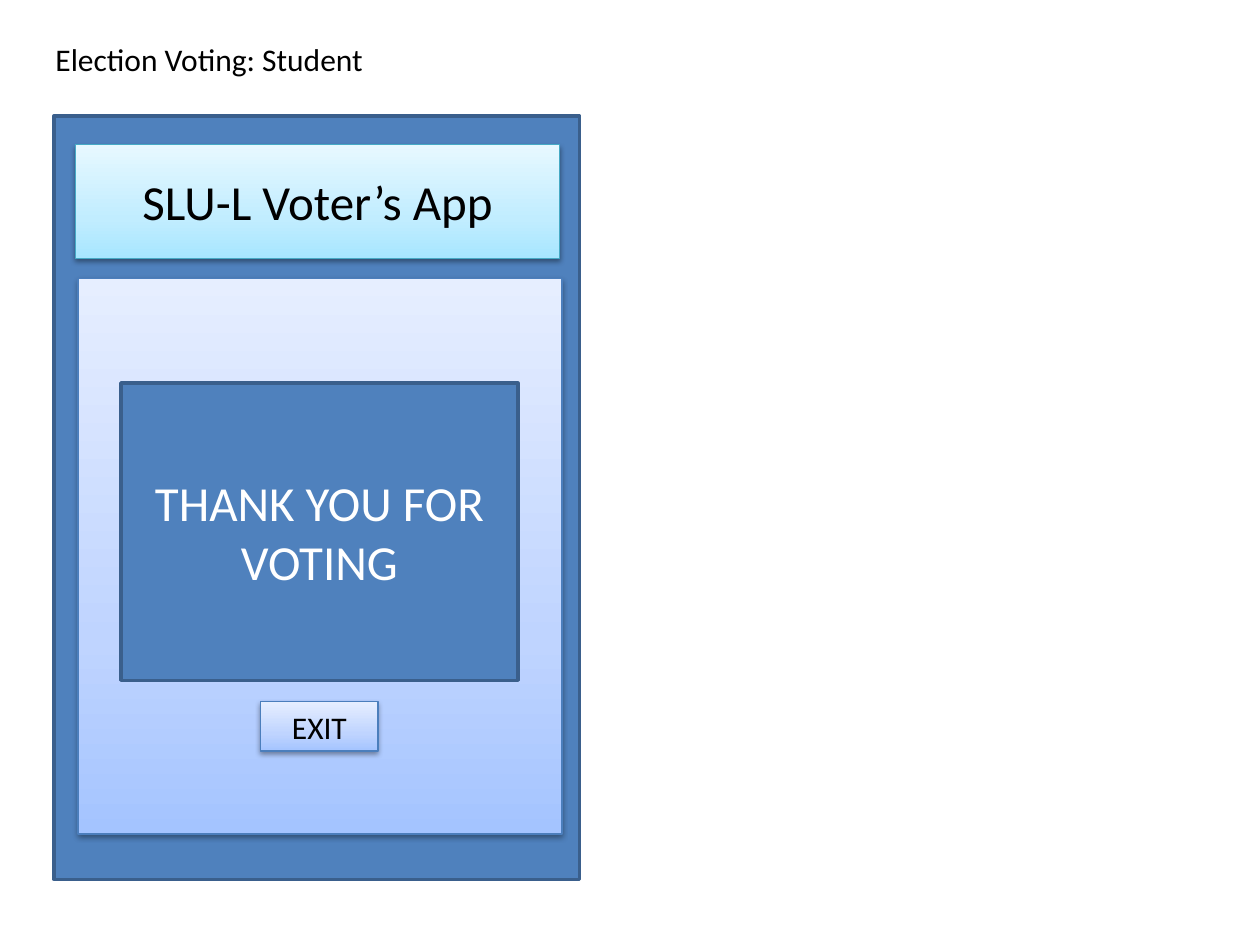
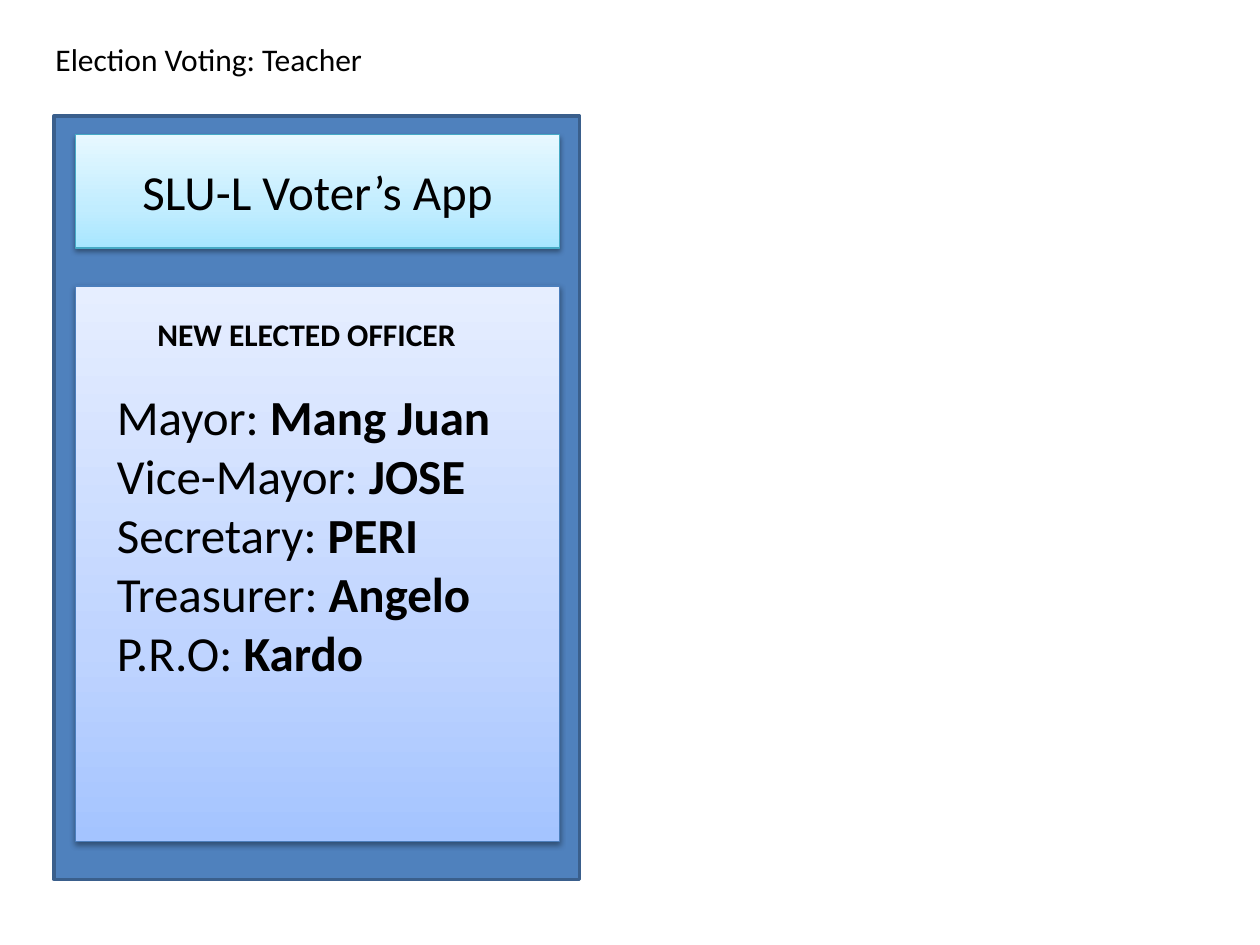
from pptx import Presentation
from pptx.dml.color import RGBColor
from pptx.enum.shapes import MSO_SHAPE
from pptx.enum.text import MSO_ANCHOR, MSO_AUTO_SIZE, PP_ALIGN
from pptx.oxml.ns import qn
from pptx.util import Inches, Pt
from lxml import etree

RECT = MSO_SHAPE.RECTANGLE
MIDDLE = MSO_ANCHOR.MIDDLE
TOP = MSO_ANCHOR.TOP
GROW = MSO_AUTO_SIZE.SHAPE_TO_FIT_TEXT
LEFT = PP_ALIGN.LEFT
CENTER = PP_ALIGN.CENTER

BLACK = RGBColor(0x00, 0x00, 0x00)
WHITE = RGBColor(0xFF, 0xFF, 0xFF)
BLUE = RGBColor(0x4F, 0x81, 0xBD)
NAVY = RGBColor(0x3A, 0x5F, 0x8C)
EDGE = RGBColor(0x4B, 0x7E, 0xBC)
TEAL = RGBColor(0x46, 0xAA, 0xC5)
SKY = [RGBColor(0xA7, 0xE6, 0xFF), RGBColor(0xC1, 0xED, 0xFF), RGBColor(0xE7, 0xF8, 0xFF)]
PALE = [RGBColor(0xA4, 0xC4, 0xFF), RGBColor(0xBF, 0xD4, 0xFF), RGBColor(0xE6, 0xEE, 0xFF)]
STOPS = [0, 35, 100]

WIDE, HIGH = Inches(10), Inches(7.5)
COL, ROW = WIDE / 100, HIGH / 75
PHONE = (4.3, 9.2, 41.7, 60.6)
HEAD = (2.8, 2.7, 92.9, 4)
SMALL, LARGE = 18, 28

FLAT = {"fill": BLUE, "line": NAVY, "width": 2}
BANNER = {"fill": SKY, "line": TEAL, "width": 0.75}
PANEL = {"fill": PALE, "line": EDGE, "width": 0.75}


def inside(box, left, top, width, height):
    """Return a grid box offset from the corner of another box."""
    return box[0] + left, box[1] + top, width, height


def scale(box):
    """Turn grid columns and rows into slide lengths."""
    return [round(size * unit) for size, unit in zip(box, (COL, ROW, COL, ROW))]


def node(parent, tag, **attrs):
    """Add a drawing element with its attributes."""
    child = etree.SubElement(parent, qn(tag))
    for key, value in attrs.items():
        child.set(key, str(value))
    return child


def blend(shape, shades):
    """Fill a shape with a vertical gradient."""
    shape.fill.gradient()
    shape.fill.gradient_angle = 90
    stops = shape._element.spPr.find(".//" + qn("a:gsLst"))
    for old in list(stops):
        stops.remove(old)
    for spot, shade in zip(STOPS, shades):
        node(node(stops, "a:gs", pos=spot * 1000), "a:srgbClr", val=shade)


def shade(shape):
    """Cast a soft shadow straight below a shape."""
    effects = shape._element.spPr.find(qn("a:effectLst"))
    cast = node(effects, "a:outerShdw", blurRad=Pt(3.1), dist=Pt(1.6),
                dir=90 * 60000, rotWithShape=0)
    node(node(cast, "a:srgbClr", val=BLACK), "a:alpha", val=38000)


def write(frame, lines, size, color=BLACK, align=LEFT, anchor=TOP):
    """Write lines made of (text, bold) runs."""
    for name, value in {"word_wrap": True, "vertical_anchor": anchor}.items():
        setattr(frame, name, value)
    for row, runs in enumerate(lines):
        para = frame.add_paragraph() if row else frame.paragraphs[0]
        para.alignment = align
        for text, bold in runs:
            run = para.add_run()
            run.text = text
            run.font.color.rgb = color
            for name, value in {"name": "Calibri", "size": Pt(size), "bold": bold}.items():
                setattr(run.font, name, value)


def block(slide, box, look, text="", size=SMALL, color=BLACK):
    """Draw a rectangle in a given look with centred text."""
    shape = slide.shapes.add_shape(RECT, *scale(box))
    shape.shadow.inherit = False
    shape.line.color.rgb = look["line"]
    shape.line.width = Pt(look["width"])
    if isinstance(look["fill"], list):
        blend(shape, look["fill"])
        shade(shape)
    else:
        shape.fill.solid()
        shape.fill.fore_color.rgb = look["fill"]
    if text:
        write(shape.text_frame, [[(text, False)]], size, color, CENTER, MIDDLE)


def label(slide, box, lines, size, align=LEFT):
    """Place a text box that grows with its text."""
    frame = slide.shapes.add_textbox(*scale(box)).text_frame
    write(frame, lines, size, align=align)
    frame.auto_size = GROW
    return frame


def screen(deck, role, drop):
    """Start a slide with its heading, phone and app banner."""
    slide = deck.slides.add_slide(deck.slide_layouts[6])
    block(slide, PHONE, FLAT)
    title = label(slide, HEAD, [[(f"Election Voting: {role}", False)]], SMALL)
    title.margin_left = Inches(0.16)
    banner = inside(PHONE, 1.7, drop, 38.4, 9)
    block(slide, banner, BANNER)
    label(slide, inside(banner, 1.5, 1.6, 35.4, 5.7),
          [[("SLU-L Voter’s App", False)]], LARGE, CENTER)
    return slide


def thanks(slide, box):
    """Fill the panel with the closing message and exit button."""
    block(slide, box, PANEL)
    block(slide, inside(box, 3.4, 8.3, 31.5, 23.6), FLAT,
          "THANK YOU FOR VOTING", LARGE, WHITE)
    block(slide, inside(box, 14.5, 33.6, 9.3, 3.9), PANEL, "EXIT")


def winners(slide, box, posts):
    """Fill the panel with the elected officers."""
    block(slide, box, PANEL)
    lines = [[(f"{post}: ", False), (name, True)] for post, name in posts]
    label(slide, inside(box, 2.3, 7.5, 35.4, 30.6), lines, LARGE)
    label(slide, inside(box, 5.5, 1.8, 36.2, 4),
          [[("NEW ELECTED OFFICER", True)]], SMALL)


POSTS = [("Mayor", "Mang Juan"), ("Vice-Mayor", "JOSE"), ("Secretary", "PERI"),
         ("Treasurer", "Angelo"), ("P.R.O", "Kardo")]

deck = Presentation()
deck.slide_width, deck.slide_height = WIDE, HIGH
thanks(screen(deck, "Student", 2.3), inside(PHONE, 1.9, 12.9, 38.4, 44.1))
winners(screen(deck, "Teacher", 1.5), inside(PHONE, 1.7, 13.5, 38.4, 44.1), POSTS)
deck.save("out.pptx")
